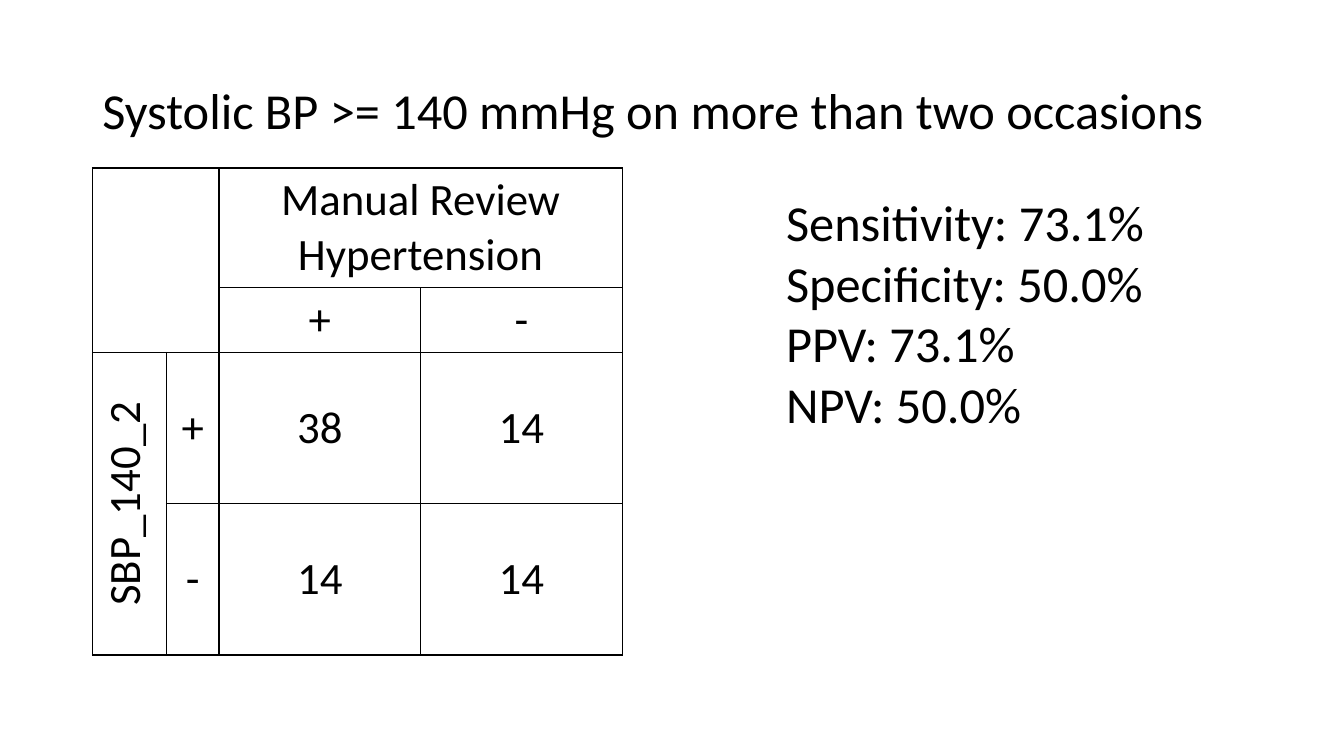
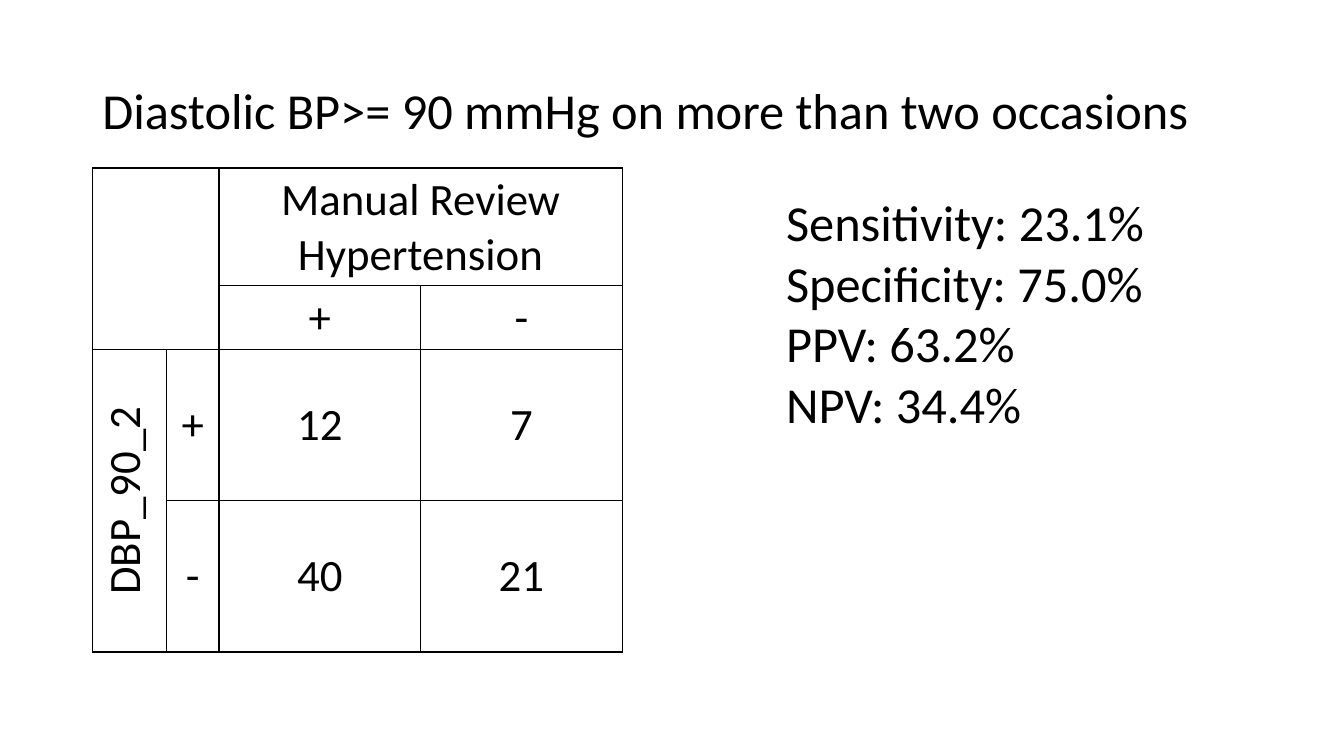
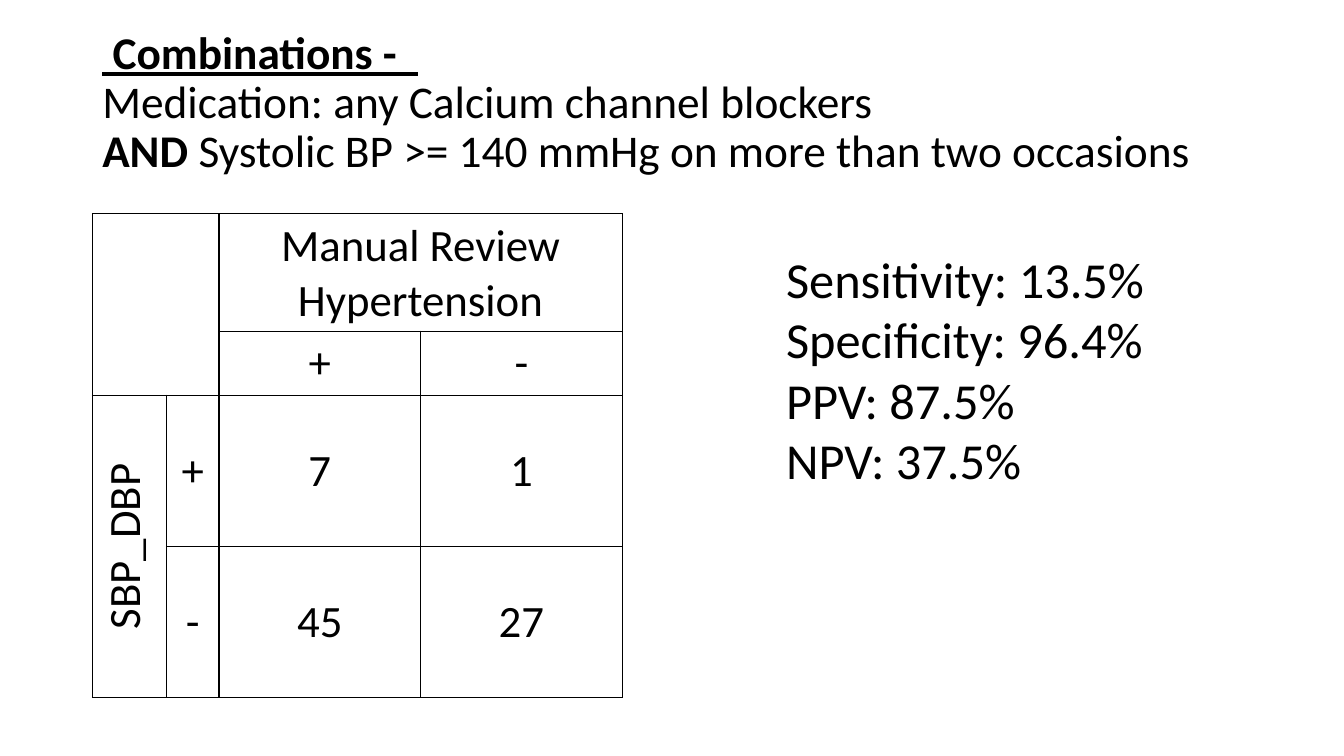
from pptx import Presentation
from pptx.dml.color import RGBColor
from pptx.enum.text import MSO_ANCHOR, MSO_AUTO_SIZE, PP_ALIGN
from pptx.oxml import parse_xml
from pptx.oxml.ns import nsdecls
from pptx.util import Pt

MIDDLE, TOP = MSO_ANCHOR.MIDDLE, MSO_ANCHOR.TOP
LEFT, CENTER = PP_ALIGN.LEFT, PP_ALIGN.CENTER
NO_FIT, GROW = MSO_AUTO_SIZE.NONE, MSO_AUTO_SIZE.SHAPE_TO_FIT_TEXT

FONT = "Calibri"
INK = "000000"
MARGIN = 66
COLUMNS = [53, 37.5, 144, 144]
ROWS = [84, 45.6, 108, 108]
MEASURES = ["Sensitivity", "Specificity", "PPV", "NPV"]


def color(value):
    """Return the colour of a hex string."""
    return RGBColor.from_string(value)


def write(p, text, size=36, bold=False, underline=False, align=LEFT):
    """Add a formatted run to a paragraph."""
    p.alignment = align
    r = p.add_run()
    r.text = text
    r.font.name = FONT
    r.font.size = Pt(size)
    r.font.bold = bold
    r.font.underline = underline
    r.font.color.rgb = color(INK)


def add_box(s, left, top, width, height, wrap, fit, anchor):
    """Add an empty text box and return its text frame."""
    sp = s.shapes.add_textbox(Pt(left), Pt(top), Pt(width), Pt(height))
    tf = sp.text_frame
    tf.word_wrap = wrap
    tf.auto_size = fit
    tf.vertical_anchor = anchor
    return tf


def add_title(s, lines, top=28.8, size=36, bottom_inset=3.6):
    """Add a title whose lines are lists of text and format pairs."""
    tf = add_box(s, MARGIN, top, 872.6, 104.4, True, NO_FIT, MIDDLE)
    tf.margin_bottom = Pt(bottom_inset)
    p = tf.paragraphs[0]
    p.line_spacing = 0.9
    for i, line in enumerate(lines):
        if i:
            p.add_line_break()
        for text, style in line:
            write(p, text, size=size, **style)


def style_cell(cell):
    """Give a cell thin borders on all sides and no fill."""
    tc_pr = cell._tc.get_or_add_tcPr()
    for side in "LRTB":
        tc_pr.append(parse_xml(
            f'<a:ln{side} {nsdecls("a")} w="{Pt(1)}"><a:solidFill>'
            f'<a:srgbClr val="{INK}"/></a:solidFill></a:ln{side}>'))
    cell.fill.background()


def fill_cell(cell, text, anchor=MIDDLE):
    """Write centred text in a cell."""
    cell.vertical_anchor = anchor
    write(cell.text_frame.paragraphs[0], text, size=32, align=CENTER)


def add_confusion_table(s, top, test, counts):
    """Add the two by two table of a test against manual review."""
    table = s.shapes.add_table(len(ROWS), len(COLUMNS), Pt(MARGIN), Pt(top),
                               Pt(sum(COLUMNS)), Pt(sum(ROWS))).table
    table.first_row = table.horz_banding = False
    for column, width in zip(table.columns, COLUMNS):
        column.width = Pt(width)
    for row, height in zip(table.rows, ROWS):
        row.height = Pt(height)
    for cell in table.iter_cells():
        style_cell(cell)
    for first, last in [((0, 0), (1, 1)), ((0, 2), (0, 3)), ((2, 0), (3, 0))]:
        table.cell(*first).merge(table.cell(*last))

    fill_cell(table.cell(0, 2), "Manual Review Hypertension", TOP)
    fill_cell(table.cell(2, 0), test)
    table.cell(2, 0)._tc.get_or_add_tcPr().set("vert", "vert270")
    for i, sign in enumerate("+-"):
        fill_cell(table.cell(1, 2 + i), sign)
        fill_cell(table.cell(2 + i, 1), sign)
        for j, count in enumerate(counts[i]):
            fill_cell(table.cell(2 + i, 2 + j), str(count))


def add_measures(s, top, values):
    """Add the list of accuracy measures."""
    tf = add_box(s, 554.4, top, 282.2, 181.4, False, GROW, TOP)
    for i, (name, value) in enumerate(zip(MEASURES, values)):
        p = tf.add_paragraph() if i else tf.paragraphs[0]
        write(p, f"{name}: {value}%")


def add_result(prs, title, test, counts, values, table_top=120,
               measures_top=133.2, **title_format):
    """Add a slide with the results of one test."""
    s = prs.slides.add_slide(prs.slide_layouts[6])
    add_title(s, title, **title_format)
    add_confusion_table(s, table_top, test, counts)
    add_measures(s, measures_top, values)


def main():
    """Build and save the presentation."""
    prs = Presentation()
    prs.slide_width, prs.slide_height = Pt(960), Pt(540)
    add_result(prs,
               [[("Systolic BP >= 140 mmHg on more than two occasions", {})]],
               "SBP_140_2", [(38, 14), (14, 14)],
               ["73.1", "50.0", "73.1", "50.0"])
    add_result(prs,
               [[("Diastolic BP>= 90 mmHg on more than two occasions", {})]],
               "DBP_90_2", [(12, 7), (40, 21)],
               ["23.1", "75.0", "63.2", "34.4"])
    add_result(prs,
               [[(" Combinations -  ", {"bold": True, "underline": True})],
                [("Medication: any Calcium channel blockers", {})],
                [("AND", {"bold": True}),
                 (" Systolic BP >= 140 mmHg on more than two occasions", {})]],
               "SBP_DBP", [(7, 1), (45, 27)],
               ["13.5", "96.4", "87.5", "37.5"],
               table_top=152.6, measures_top=173.5,
               top=39.6, size=32.4, bottom_inset=39)
    prs.save("out.pptx")


main()
